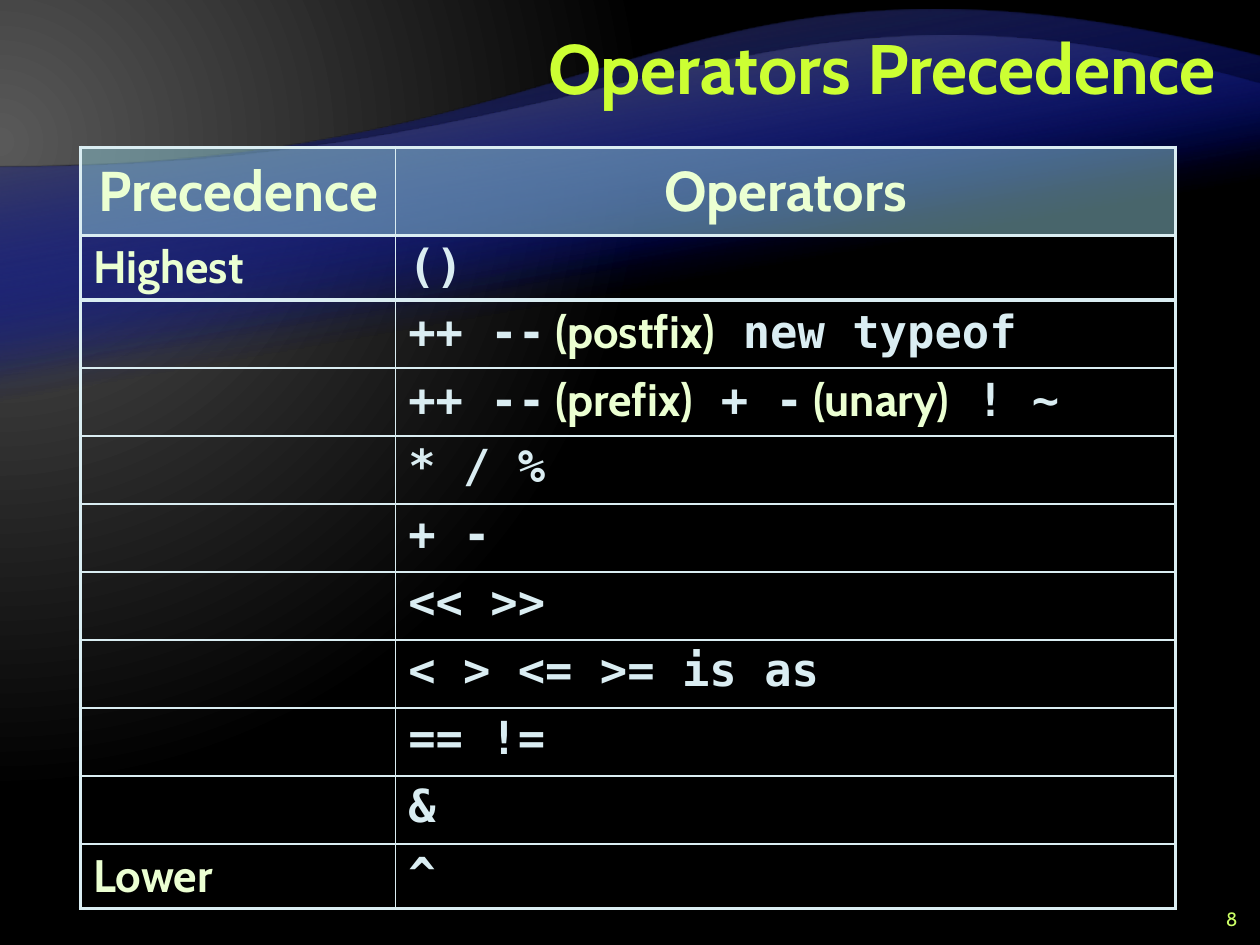
"""Build the operators precedence slide."""
from typing import NamedTuple

import pptx
import pptx.dml.color
import pptx.enum.text
import pptx.oxml
import pptx.oxml.ns
import pptx.util
from lxml import etree

Inches = pptx.util.Inches
Pt = pptx.util.Pt
RGBColor = pptx.dml.color.RGBColor
Align = pptx.enum.text.PP_ALIGN
Anchor = pptx.enum.text.MSO_ANCHOR
qn = pptx.oxml.ns.qn

LIME = RGBColor(0xCC, 0xFF, 0x33)
SOFT_LIME = RGBColor(0xCC, 0xFF, 0x66)
CREAM = RGBColor(0xEB, 0xFF, 0xD2)
ICE = RGBColor(0xDA, 0xED, 0xF2)
TEAL = RGBColor(0x90, 0xCA, 0xD7)
NAVY = RGBColor(0x00, 0x0D, 0x9E)
CHARCOAL = RGBColor(0x26, 0x26, 0x26)
GRAY = RGBColor(0x59, 0x59, 0x59)
BLACK = RGBColor(0x00, 0x00, 0x00)

PROSE = "Cabin"
CODE = "DejaVu Sans Mono"
SLIDE_WIDTH = 10
THICK, THIN = 2.25, 1


class Stop(NamedTuple):
    position: int
    color: RGBColor
    alpha: int = 100


class Wave(NamedTuple):
    top: float
    bottom: float
    bend_x: float
    bend_y: float
    crest: RGBColor


class Level(NamedTuple):
    label: str
    operators: list[str]
    height: float = 0.54


WAVES = [Wave(0.45, 6.53, 5.34, -0.75, CHARCOAL), Wave(0.67, 5.57, 5.98, -0.49, GRAY)]
WAVE_LEFT_Y = 1.33

LEVELS = [
    Level("Highest", ["()"], 0.51),
    Level("", ["++ --", " (postfix)", " new typeof"]),
    Level("", ["++ --", " (prefix)", " + -", " (unary)", " ! ~"]),
    Level("", ["* / %"]),
    Level("", ["+ -"]),
    Level("", ["<< >>"]),
    Level("", ["< > <= >= is as"]),
    Level("", ["== !="]),
    Level("", ["&"]),
    Level("Lower", ["^"], 0.51),
]


def write(paragraph, text: str, *, size: float, color: RGBColor, font: str = PROSE,
          bold: bool = True, align=Align.LEFT, spacing=None) -> None:
    """Append a formatted run to a paragraph."""
    run = paragraph.add_run()
    run.text = text
    run.font.size = Pt(size)
    run.font.name = font
    run.font.bold = bold
    run.font.color.rgb = color
    paragraph.alignment = align
    paragraph.line_spacing = spacing


def add_text(slide, left: float, top: float, width: float, height: float,
             text: str, **text_format) -> None:
    """Add a vertically centred text box."""
    frame = slide.shapes.add_textbox(
        Inches(left), Inches(top), Inches(width), Inches(height)).text_frame
    frame.word_wrap = True
    frame.vertical_anchor = Anchor.MIDDLE
    write(frame.paragraphs[0], text, **text_format)


def set_gradient(fill, parent, stops: list[Stop], direction: str) -> None:
    """Give the parent element a gradient fill."""
    fill.solid()
    stop_xml = "".join(
        f'<a:gs pos="{stop.position * 1000}"><a:srgbClr val="{stop.color}">'
        f'<a:alpha val="{stop.alpha * 1000}"/></a:srgbClr></a:gs>' for stop in stops)
    gradient = pptx.oxml.parse_xml(
        f'<a:gradFill {pptx.oxml.ns.nsdecls("a")} rotWithShape="1">'
        f"<a:gsLst>{stop_xml}</a:gsLst>{direction}</a:gradFill>")
    parent.replace(parent.find(qn("a:solidFill")), gradient)


def add_wave(slide, wave: Wave) -> None:
    """Draw a curved band turned by half a circle."""
    def turned(x: float, y: float) -> tuple[int, int]:
        return Inches(SLIDE_WIDTH - x), Inches(wave.top + wave.bottom - y)

    builder = slide.shapes.build_freeform(*turned(SLIDE_WIDTH, wave.bottom))
    builder.add_line_segments([turned(0, wave.bottom), turned(0, WAVE_LEFT_Y),
                               turned(SLIDE_WIDTH, wave.top)])
    band = builder.convert_to_shape()
    band.rotation = 180
    band.shadow.inherit = False
    band.line.fill.background()
    curve = band._element.findall(".//" + qn("a:lnTo"))[2]
    curve.tag = qn("a:cubicBezTo")
    bends = [(5, WAVE_LEFT_Y), (wave.bend_x, wave.bend_y)]
    for index, bend in enumerate(bends):
        x, y = turned(*bend)
        point = etree.Element(qn("a:pt"), x=str(x), y=str(y - Inches(wave.top)))
        curve.insert(index, point)
    set_gradient(band.fill, band._element.spPr,
                 [Stop(65, NAVY, 0), Stop(100, wave.crest)],
                 '<a:lin ang="4800000" scaled="0"/>')


def set_borders(cell, **widths: float) -> None:
    """Draw the cell borders in schema order."""
    properties = cell._tc.get_or_add_tcPr()
    for index, side in enumerate("LRTB"):
        border = etree.Element(qn(f"a:ln{side}"), w=str(Pt(widths[side])))
        paint = etree.SubElement(border, qn("a:solidFill"))
        etree.SubElement(paint, qn("a:srgbClr"), val=str(ICE))
        properties.insert(index, border)


def add_precedence_table(slide) -> None:
    """Add the table of operators by precedence."""
    heights = [0.7] + [level.height for level in LEVELS]
    table = slide.shapes.add_table(
        len(heights), 2, Inches(0.64), Inches(1.17), Inches(8.69),
        Inches(sum(heights))).table
    table.first_row = table.horz_banding = False
    for column, width in zip(table.columns, (2.5, 6.19)):
        column.width = Inches(width)
    rules = [THICK] * 3 + [THIN] * (len(LEVELS) - 2) + [THICK]
    for index, height in enumerate(heights):
        table.rows[index].height = Inches(height)
        for column in range(2):
            cell = table.cell(index, column)
            cell.fill.background()
            set_borders(cell, L=THIN if column else THICK, R=THICK if column else THIN,
                        T=rules[index], B=rules[index + 1])

    for column, heading in enumerate(("Precedence", "Operators")):
        cell = table.cell(0, column)
        cell.fill.solid()
        cell.fill.fore_color.rgb = TEAL
        tint = cell._tc.tcPr.find(qn("a:solidFill"))[0]
        etree.SubElement(tint, qn("a:alpha"), val="50000")
        cell.vertical_anchor = Anchor.MIDDLE
        write(cell.text_frame.paragraphs[0], heading, size=32, color=CREAM,
              align=Align.CENTER, spacing=0.95)

    for index, level in enumerate(LEVELS, start=1):
        if level.label:
            cell = table.cell(index, 0)
            cell.vertical_anchor = Anchor.MIDDLE
            write(cell.text_frame.paragraphs[0], level.label, size=26, color=CREAM,
                  spacing=0.95)
        line = table.cell(index, 1).text_frame.paragraphs[0]
        for position, part in enumerate(level.operators):
            is_note = position % 2 == 1
            write(line, part, size=26, color=CREAM if is_note else ICE,
                  font=PROSE if is_note else CODE, spacing=0.95)


def main() -> None:
    """Create and save the presentation."""
    deck = pptx.Presentation()
    deck.slide_width, deck.slide_height = Inches(SLIDE_WIDTH), Inches(7.5)
    slide = deck.slides.add_slide(deck.slide_layouts[6])
    backdrop = slide.background.fill
    backdrop.solid()
    set_gradient(backdrop, slide._element.cSld.find(".//" + qn("p:bgPr")),
                 [Stop(0, GRAY), Stop(83, BLACK)],
                 '<a:path path="circle"><a:fillToRect l="20000" t="30000" '
                 'r="135000" b="100000"/></a:path>')
    for wave in WAVES * 2:
        add_wave(slide, wave)
    add_text(slide, 2, 0.08, 7.75, 1, "Operators Precedence", size=40, color=LIME,
             align=Align.RIGHT, spacing=Pt(40))
    add_precedence_table(slide)
    add_text(slide, 9.42, 7.17, 0.5, 0.25, "8", size=11, color=SOFT_LIME, bold=False,
             align=Align.RIGHT)
    deck.save("out.pptx")


if __name__ == "__main__":
    main()
